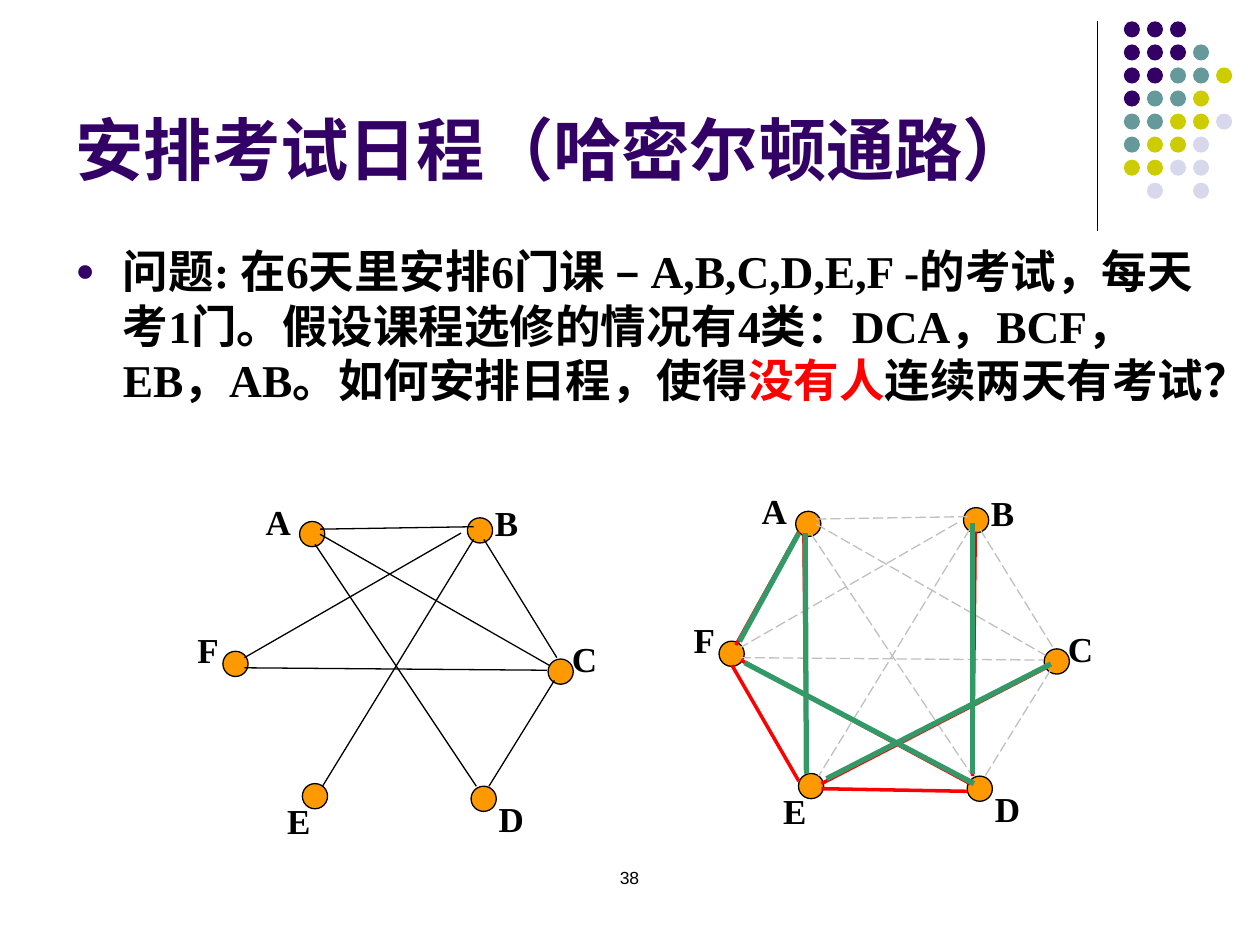
from lxml import etree
from pptx import Presentation
from pptx.dml.color import RGBColor
from pptx.enum.dml import MSO_LINE
from pptx.enum.shapes import MSO_CONNECTOR, MSO_SHAPE
from pptx.enum.text import MSO_ANCHOR, MSO_AUTO_SIZE, PP_ALIGN
from pptx.oxml.ns import qn
from pptx.util import Pt

OVAL = MSO_SHAPE.OVAL
LINE = MSO_CONNECTOR.STRAIGHT
DASH = MSO_LINE.LONG_DASH
LOW = MSO_ANCHOR.BOTTOM
TOP = MSO_ANCHOR.TOP
FIXED = MSO_AUTO_SIZE.NONE
LEFT = PP_ALIGN.LEFT
MID = PP_ALIGN.CENTER

SERIF, SANS = "Times New Roman", "Arial"
BLACK, RED, GREEN, GREY = "000000", "FF0000", "339966", "C0C0C0"
PLUM, GOLD = "330066", "FF9900"

TONES = {"P": PLUM, "T": "669999", "Y": "CCCC00", "L": "D8D8EC"}
DOTS = ["PPP", "PPPT", "PPTTY", "PTTY", "TTYYL", "TYYL", "YYLL", " L L"]

NODES = [(171.2, 298), (267.1, 295.9), (127.4, 372.2),
         (313.2, 376.6), (172.8, 447.8), (269.2, 449.3)]
NAMES = {"A": (144.7, 282.2), "B": (275.7, 283), "C": (319.7, 360.7),
         "D": (277.9, 452.2), "E": (157, 453.6), "F": (105.8, 355.7)}
EDGES = [(180, 311, 272.2, 449.3), (182.9, 305.3, 313.9, 380.2),
         (316.8, 388.8, 279.4, 449.3), (276.5, 308.2, 318.2, 375.8),
         (263.5, 304.6, 139.7, 375.8), (139.7, 381.6, 312.5, 383),
         (270.7, 308.2, 184.3, 449.3), (182.9, 302.4, 270.7, 301)]
FREE = [(456.5, 303.8, 420.5, 368.6), (459.4, 305.3, 460.8, 442.1),
        (557.3, 303.8, 555.8, 443.5), (597.6, 381.6, 469.4, 447.8),
        (423.4, 377.3, 554.4, 447.8), (469.4, 450.7, 553, 452.2),
        (418.3, 380.2, 456.5, 446.4)]
ROUTE = [(555.8, 298.8, 555.8, 442.1), (425.5, 378.7, 556.6, 447.8),
         (422.6, 366.5, 456.5, 304.6), (460.1, 304.6, 460.8, 442.1),
         (472.3, 445, 600.5, 379.4)]


def tint(code):
    """Turn a hex string into a colour."""
    return RGBColor.from_string(code)


class Deck:
    """Holds the style and the current slide."""

    def __init__(self):
        self.file = Presentation()
        self.file.slide_width, self.file.slide_height = Pt(720), Pt(540)
        self.slide = self.file.slides.add_slide(self.file.slide_layouts[1])
        self.shapes = self.slide.shapes

    def fill_text(self, box, parts, size, bold=True, align=LEFT, anchor=TOP):
        """Write (text, colour, font) parts into the first paragraph."""
        frame = box.text_frame
        frame.word_wrap = True
        frame.auto_size = FIXED
        frame.vertical_anchor = anchor
        para = frame.paragraphs[0]
        para.alignment = align
        para.space_before = Pt(0)
        for text, color, face in parts:
            run = para.add_run()
            run.text = text
            run.font.size, run.font.bold = Pt(size), bold
            run.font.name = face
            run.font.color.rgb = tint(color)
        return para

    def place(self, box, x, y, w, h):
        """Move and size a placeholder."""
        box.left, box.top, box.width, box.height = Pt(x), Pt(y), Pt(w), Pt(h)
        return box

    def title(self, area, parts):
        """Fill the title placeholder."""
        box = self.place(self.shapes.title, *area)
        self.fill_text(box, parts, 39, anchor=LOW)

    def body(self, area, parts):
        """Fill the body placeholder with one bulleted paragraph."""
        box = self.place(self.slide.placeholders[1], *area)
        props = self.fill_text(box, parts, 26)._p.get_or_add_pPr()
        props.set("marL", str(Pt(27)))
        props.set("indent", str(Pt(-27)))
        hue = etree.SubElement(props, qn("a:buClr"))
        etree.SubElement(hue, qn("a:srgbClr"), val=PLUM)
        etree.SubElement(props, qn("a:buSzPct"), val="70000")
        etree.SubElement(props, qn("a:buFont"), typeface=SANS)
        etree.SubElement(props, qn("a:buChar"), char="●")

    def label(self, area, text, size, face, **style):
        """Add a text box with one run."""
        box = self.shapes.add_textbox(*map(Pt, area))
        self.fill_text(box, [(text, BLACK, face)], size, **style)

    def dot(self, x, y, size, color, edge=None):
        """Add a filled circle."""
        oval = self.shapes.add_shape(OVAL, Pt(x), Pt(y), Pt(size), Pt(size))
        oval.shadow.inherit = False
        oval.fill.solid()
        oval.fill.fore_color.rgb = tint(color)
        if edge:
            oval.line.color.rgb = tint(edge)
            oval.line.width = Pt(0.75)
        else:
            oval.line.fill.background()

    def line(self, ends, color=BLACK, width=0.75, dash=None):
        """Add a straight line."""
        link = self.shapes.add_connector(LINE, *map(Pt, ends))
        link.line.color.rgb = tint(color)
        link.line.width = Pt(width)
        if dash:
            link.line.dash_style = dash
        etree.SubElement(link._element.spPr, qn("a:effectLst"))

    def graph(self, dx, dy, color, dash=None):
        """Draw the course graph, shifted by dx and dy."""
        for x, y in NODES:
            self.dot(x + dx, y + dy, 14.4, GOLD, BLACK)
        for name, (x, y) in NAMES.items():
            self.label((x + dx, y + dy, 33.8, 31), name, 20, SERIF)
        for a, b, c, d in EDGES:
            self.line((a + dx, b + dy, c + dx, d + dy), color, dash=dash)


def main():
    """Build the slide and save it."""
    deck = Deck()
    deck.line((627.1, 12.2, 627.1, 131.8))
    for row, marks in enumerate(DOTS):
        for col, mark in enumerate(marks):
            if mark in TONES:
                deck.dot(642.2 + 13.17 * col, 12.2 + 13.17 * row, 9.2, TONES[mark])
    deck.title((36, 9.4, 594, 102.2), [("安排考试日程（", PLUM, SANS),
                                       ("哈密尔顿通路）", PLUM, SERIF)])
    deck.body((36, 135.4, 664.6, 146.2), [
        ("问题: 在6天里安排6门课 – A,B,C,D,E,F -的考试，每天考1门。"
         "假设课程选修的情况有4类：DCA，BCF，EB，AB。如何安排日程，使得", BLACK, SERIF),
        ("没有人", RED, SERIF), ("连续两天有考试？", BLACK, SERIF)])
    deck.graph(0, 0, BLACK)
    deck.graph(283.5, -5.8, GREY, DASH)
    for ends in FREE:
        deck.line(ends, RED, 2)
    for ends in ROUTE:
        deck.line(ends, GREEN, 3)
    deck.label((275.8, 491.8, 167.8, 36), "38", 10, SANS, bold=False, align=MID)
    deck.file.save("out.pptx")


if __name__ == "__main__":
    main()
